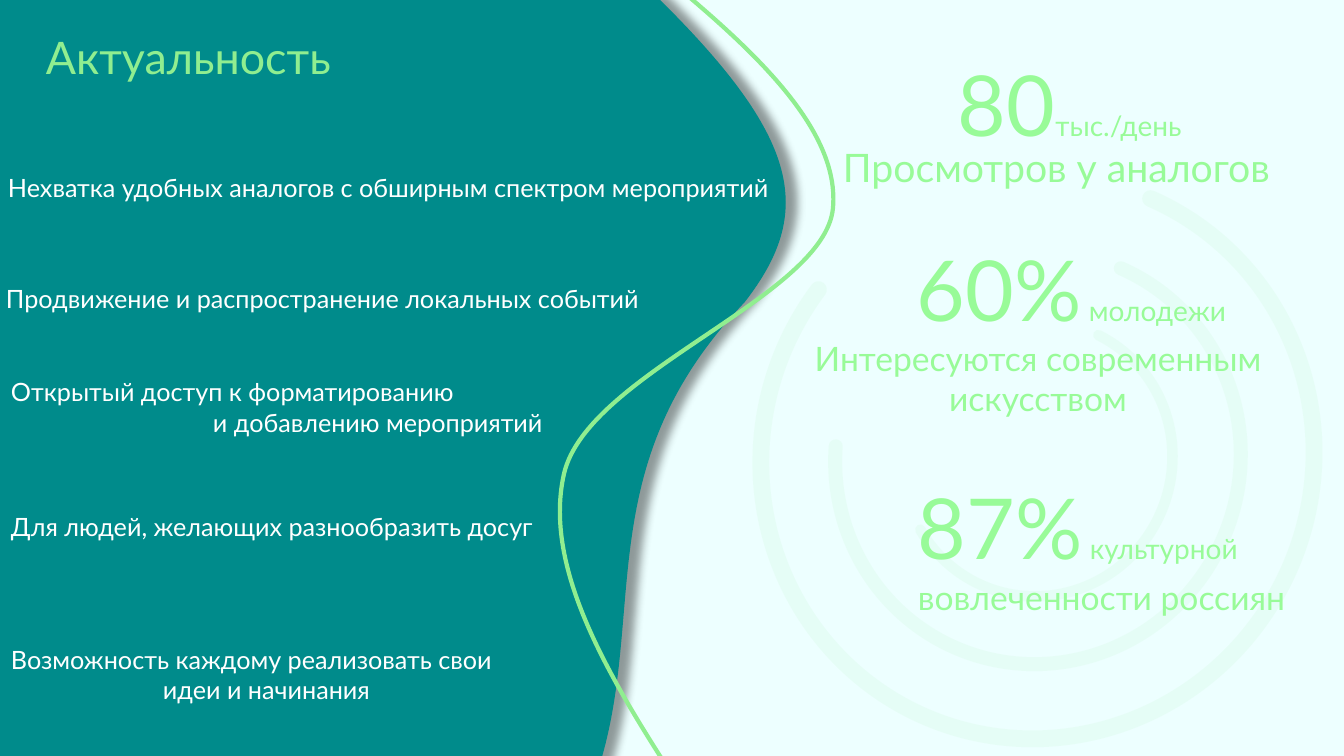
from dataclasses import dataclass

from lxml.etree import SubElement
from pptx import Presentation
from pptx.dml.color import RGBColor
from pptx.enum.shapes import MSO_SHAPE
from pptx.enum.text import MSO_ANCHOR, MSO_AUTO_SIZE, PP_ALIGN
from pptx.oxml.ns import qn
from pptx.util import Emu, Pt

EMU_PER_PX = 914400 / 100.8


@dataclass(frozen=True)
class Theme:
    """Colours, font and type sizes of the slide."""
    paper: str = "EDFFFF"
    teal: str = "008B8B"
    green: str = "90EE90"
    mint: str = "98FB98"
    white: str = "FFFFFF"
    font: str = "Lato"
    title: int = 32
    body: int = 18
    figure: int = 60
    unit: int = 20
    label: int = 24
    lead: int = 28


THEME = Theme()

WAVE = [
    [(-3, -8)], [(654, -5)],
    [(801, 139), (814, 212), (744, 302)],
    [(588, 465), (647, 613), (598, 768)],
    [(-7, 775)], [(-7, 7)],
]
RIBBON = [
    [(613, -65)],
    [(727, 26), (841, 118), (833, 208)],
    [(825, 297), (587, 373), (564, 474)],
    [(541, 575), (619, 694), (697, 813)],
]
ARCS = [
    ((762, 175, 551, 565), 116.32, 162, 12),
    ((836, 251, 404, 414), 95.82, 162, 10),
    ((903, 321, 269, 276), 75.18, 163.53, 7.5),
]
REASONS = [
    ("Нехватка удобных аналогов с обширным спектром мероприятий", 2, 0),
    ("Продвижение и распространение локальных событий", 0, 58),
    ("Открытый доступ к форматированию", 5, 45),
    ("и добавлению мероприятий", 207, 0),
    ("Для людей, желающих разнообразить досуг", 5, 53),
    ("Возможность каждому реализовать свои", 5, 73),
    ("идеи и начинания", 157, 0),
]
STATISTICS = [
    ((948, 48, 246, 112), PP_ALIGN.LEFT,
     [("80", THEME.figure), ("тыс./день", THEME.unit)]),
    ((833, 138, 462, 57), PP_ALIGN.LEFT,
     [("Просмотров у аналогов", THEME.lead)]),
    ((907, 233, 340, 112), PP_ALIGN.LEFT,
     [("60%", THEME.figure), (" молодежи", THEME.unit)]),
    ((732, 333, 612, 92), PP_ALIGN.CENTER,
     [("Интересуются современным искусством", THEME.label)]),
    ((908, 471, 401, 152), PP_ALIGN.LEFT,
     [("87%", THEME.figure), (" культурной ", THEME.unit),
      ("вовлеченности россиян", THEME.label)]),
]


def px(length):
    """Turn pixels into EMU."""
    return Emu(round(length * EMU_PER_PX))


def apply(target, values):
    """Set every named attribute on the target."""
    for name, value in values.items():
        setattr(target, name, value)


def place(shape, box):
    """Move a shape to a box given in pixels."""
    apply(shape, dict(zip(("left", "top", "width", "height"), map(px, box))))


def set_frame(frame, inset=10):
    """Give a text frame its insets, wrapping and anchor."""
    apply(frame, {
        "word_wrap": True, "auto_size": MSO_AUTO_SIZE.NONE,
        "vertical_anchor": MSO_ANCHOR.TOP,
        "margin_left": px(inset), "margin_right": px(inset),
        "margin_top": px(5), "margin_bottom": px(5),
    })


def add_span(para, text, size, color):
    """Add one formatted run to a paragraph."""
    span = para.add_run()
    span.text = text
    apply(span.font, {"name": THEME.font, "size": Pt(size), "bold": False})
    span.font.color.rgb = RGBColor.from_string(color)


def set_line(shape, color, width):
    """Outline a shape and drop its inherited shadow."""
    shape.line.color.rgb = RGBColor.from_string(color)
    shape.line.width = Pt(width)
    shape.shadow.inherit = False


def add_outline(page, box, segments, close):
    """Draw a freeform of straight and cubic segments inside a box."""
    start, *anchors = [(px(segment[-1][0]), px(segment[-1][1])) for segment in segments]
    builder = page.shapes.build_freeform(*start, scale=1.0)
    builder.add_line_segments(anchors, close=close)
    outline = builder.convert_to_shape()
    place(outline, box)
    geometry = outline._element.spPr.find(".//" + qn("a:path"))
    geometry.set("w", str(outline.width))
    geometry.set("h", str(outline.height))
    for step, segment in zip(list(geometry), segments):
        step.clear()
        if len(segment) == 3:
            curve = SubElement(geometry, qn("a:cubicBezTo"))
            geometry.replace(step, curve)
            step = curve
        for x, y in segment:
            SubElement(step, qn("a:pt"), x=str(px(x - box[0])), y=str(px(y - box[1])))
    return outline


def add_backdrop(page):
    """Draw the teal wave with its shadow and the green ribbon."""
    wave = add_outline(page, (-7, -8, 792, 783), WAVE, True)
    wave.fill.solid()
    wave.fill.fore_color.rgb = RGBColor.from_string(THEME.teal)
    set_line(wave, THEME.teal, 1)
    effects = wave._element.spPr.find(qn("a:effectLst"))
    shadow = SubElement(effects, qn("a:outerShdw"), blurRad=str(Pt(6)), dist=str(Pt(8)),
                        dir="0", algn="l", rotWithShape="0")
    shade = SubElement(shadow, qn("a:srgbClr"), val="000000")
    SubElement(shade, qn("a:alpha"), val="40000")
    ribbon = add_outline(page, (560, -65, 273, 878), RIBBON, False)
    ribbon.fill.background()
    set_line(ribbon, THEME.green, 3)


def add_arcs(page):
    """Draw the group of faint concentric arcs."""
    group = page.shapes.add_group_shape()
    for box, end, start, width in ARCS:
        arc = group.shapes.add_shape(MSO_SHAPE.ARC, *map(px, box))
        arc.adjustments[0] = start
        arc.adjustments[1] = end
        arc.rotation = 23.6
        arc.fill.background()
        set_line(arc, THEME.green, width)
        stroke = arc._element.spPr.find(qn("a:ln"))
        stroke.set("cap", "rnd")
        SubElement(stroke.find(".//" + qn("a:srgbClr")), qn("a:alpha"), val="7000")


def add_title(page, box):
    """Fill the title placeholder above the backdrop."""
    title = page.shapes.title
    page.shapes._spTree.append(title._element)
    place(title, box)
    set_frame(title.text_frame)
    para = title.text_frame.paragraphs[0]
    para.alignment = PP_ALIGN.LEFT
    add_span(para, "Актуальность", THEME.title, THEME.green)


def add_reasons(page, box):
    """Fill the body placeholder with the list of reasons."""
    body = page.placeholders[1]
    page.shapes._spTree.append(body._element)
    place(body, box)
    frame = body.text_frame
    set_frame(frame, 6)
    for index, (text, indent, gap) in enumerate(REASONS):
        para = frame.add_paragraph() if index else frame.paragraphs[0]
        apply(para, {"space_before": Pt(gap), "space_after": Pt(0), "alignment": PP_ALIGN.LEFT})
        properties = para._p.get_or_add_pPr()
        properties.set("marL", str(px(indent)))
        properties.set("indent", "0")
        SubElement(properties, qn("a:buNone"))
        add_span(para, text, THEME.body, THEME.white)


def add_statistic(page, box, alignment, spans):
    """Write one statistic or its caption."""
    frame = page.shapes.add_textbox(*map(px, box)).text_frame
    set_frame(frame)
    para = frame.paragraphs[0]
    para.alignment = alignment
    for text, size in spans:
        add_span(para, text, size, THEME.mint)


def main():
    """Build the slide and save the deck."""
    deck = Presentation()
    apply(deck, {"slide_width": px(1344), "slide_height": px(756)})
    page = deck.slides.add_slide(deck.slide_layouts[1])
    page.background.fill.solid()
    page.background.fill.fore_color.rgb = RGBColor.from_string(THEME.paper)
    add_backdrop(page)
    add_title(page, (36, 25, 340, 65))
    add_arcs(page)
    add_reasons(page, (0, 167, 790, 545))
    for box, alignment, spans in STATISTICS:
        add_statistic(page, box, alignment, spans)
    deck.save("out.pptx")


if __name__ == "__main__":
    main()
